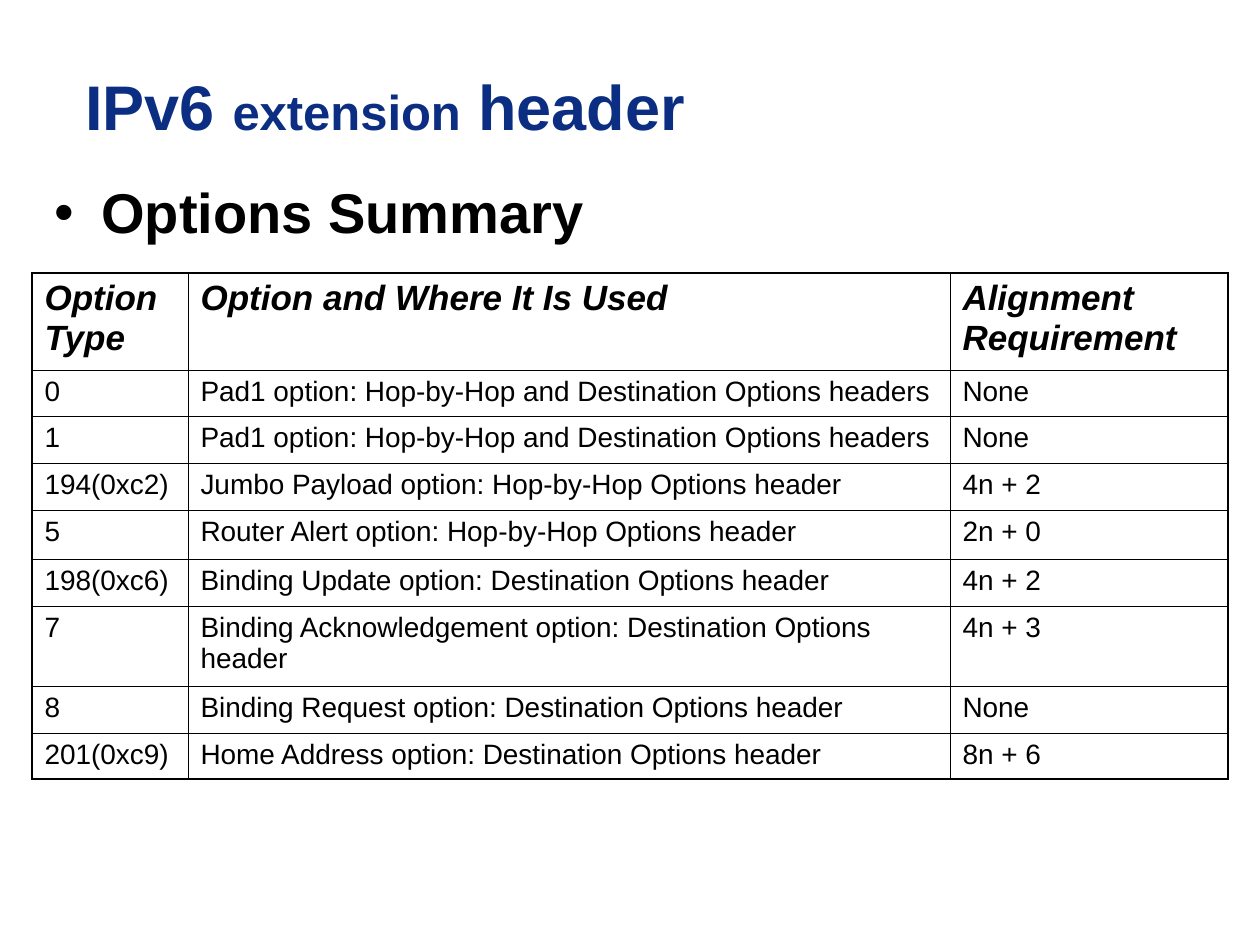
from dataclasses import dataclass

from lxml import etree
from pptx import Presentation
from pptx.dml.color import RGBColor
from pptx.enum.text import MSO_ANCHOR
from pptx.oxml.ns import qn
from pptx.util import Pt

MIDDLE = MSO_ANCHOR.MIDDLE
TOP = MSO_ANCHOR.TOP
EMU_PER_PX = 914400 / 126


def px(n):
    """Turn whole pixels into EMU."""
    return round(n * EMU_PER_PX)


@dataclass(frozen=True)
class Theme:
    """Colours, type sizes and line widths."""
    font: str = "Arial"
    paper: str = "FFFFFF"
    ink: str = "000000"
    heading: str = "0C2E82"
    title: int = 36
    title_small: int = 28
    bullet: int = 32
    header: int = 20
    body: int = 16
    outer: float = 1.08
    inner: float = 0.45


class Deck:
    """Holds the style and the current slide."""

    def __init__(self, prs, theme):
        """Add a blank slide with a plain background."""
        self.theme = theme
        self.s = prs.slides.add_slide(prs.slide_layouts[6])
        fill = self.s.background.fill
        fill.solid()
        fill.fore_color.rgb = RGBColor.from_string(theme.paper)

    def run(self, p, text, size, color, bold=False, italic=False):
        """Append one styled run."""
        r = p.add_run()
        r.text = text
        f = r.font
        f.name, f.size, f.bold, f.italic = self.theme.font, Pt(size), bold, italic
        f.color.rgb = RGBColor.from_string(color)

    def text(self, x, y, w, h, runs, color, anchor=TOP):
        """Add a wrapped box of bold runs and return its paragraph."""
        tf = self.s.shapes.add_textbox(px(x), px(y), px(w), px(h)).text_frame
        tf.word_wrap = True
        tf.vertical_anchor = anchor
        p = tf.paragraphs[0]
        for text, size in runs:
            self.run(p, text, size, color, bold=True)
        return p

    def bullet(self, x, y, w, h, text):
        """Add a box with one bulleted line."""
        t = self.theme
        p = self.text(x, y, w, h, [(text, t.bullet)], t.ink)
        p.line_spacing = 0.9
        p.space_before = Pt(8)
        pr = p._p.get_or_add_pPr()
        pr.set("marL", str(px(47)))
        pr.set("indent", str(-px(47)))
        color = etree.SubElement(pr, qn("a:buClr"))
        etree.SubElement(color, qn("a:srgbClr"), val=t.ink)
        etree.SubElement(pr, qn("a:buFont"), typeface=t.font)
        etree.SubElement(pr, qn("a:buChar"), char="•")

    def border(self, cell, side, width):
        """Draw one side of a cell."""
        ln = etree.Element(qn(f"a:ln{side}"), w=str(Pt(width)))
        fill = etree.SubElement(ln, qn("a:solidFill"))
        etree.SubElement(fill, qn("a:srgbClr"), val=self.theme.ink)
        cell._tc.get_or_add_tcPr().append(ln)

    def table(self, x, y, widths, heights, rows):
        """Add a ruled table whose first row is the header."""
        t = self.theme
        frame = self.s.shapes.add_table(len(heights), len(widths), px(x), px(y),
                                        px(sum(widths)), px(sum(heights)))
        tbl = frame.table
        tbl.horz_banding = False
        for col, w in zip(tbl.columns, widths):
            col.width = px(w)
        for row, h in zip(tbl.rows, heights):
            row.height = px(h)
        for i, row in enumerate(rows):
            head = i == 0
            for j, text in enumerate(row):
                cell = tbl.cell(i, j)
                edges = {"L": j == 0, "R": j == len(widths) - 1,
                         "T": head, "B": i == len(rows) - 1}
                for side, outside in edges.items():
                    self.border(cell, side, t.outer if outside else t.inner)
                cell.fill.background()
                p = cell.text_frame.paragraphs[0]
                p.space_before = Pt(5 if head else 4)
                self.run(p, text, t.header if head else t.body, t.ink, head, head)


OPTIONS = [
    ("Option Type", "Option and Where It Is Used", "Alignment Requirement"),
    ("0", "Pad1 option: Hop-by-Hop and Destination Options headers", "None"),
    ("1", "Pad1 option: Hop-by-Hop and Destination Options headers", "None"),
    ("194(0xc2)", "Jumbo Payload option: Hop-by-Hop Options header", "4n + 2"),
    ("5", "Router Alert option: Hop-by-Hop Options header", "2n + 0"),
    ("198(0xc6)", "Binding Update option: Destination Options header", "4n + 2"),
    ("7", "Binding Acknowledgement option: Destination Options header", "4n + 3"),
    ("8", "Binding Request option: Destination Options header", "None"),
    ("201(0xc9)", "Home Address option: Destination Options header", "8n + 6"),
]


def main():
    """Build and save the slide."""
    prs = Presentation()
    prs.slide_width, prs.slide_height = px(1260), px(945)
    t = Theme()
    deck = Deck(prs, t)
    deck.text(73, 32, 1092, 147,
              [("IPv6 ", t.title), ("extension", t.title_small), (" header", t.title)],
              t.heading, MIDDLE)
    deck.bullet(42, 179, 1144, 577, "Options Summary")
    deck.table(32, 273, [156, 762, 278],
               [97, 46, 47, 47, 49, 47, 80, 47, 46], OPTIONS)
    prs.save("out.pptx")


if __name__ == "__main__":
    main()
